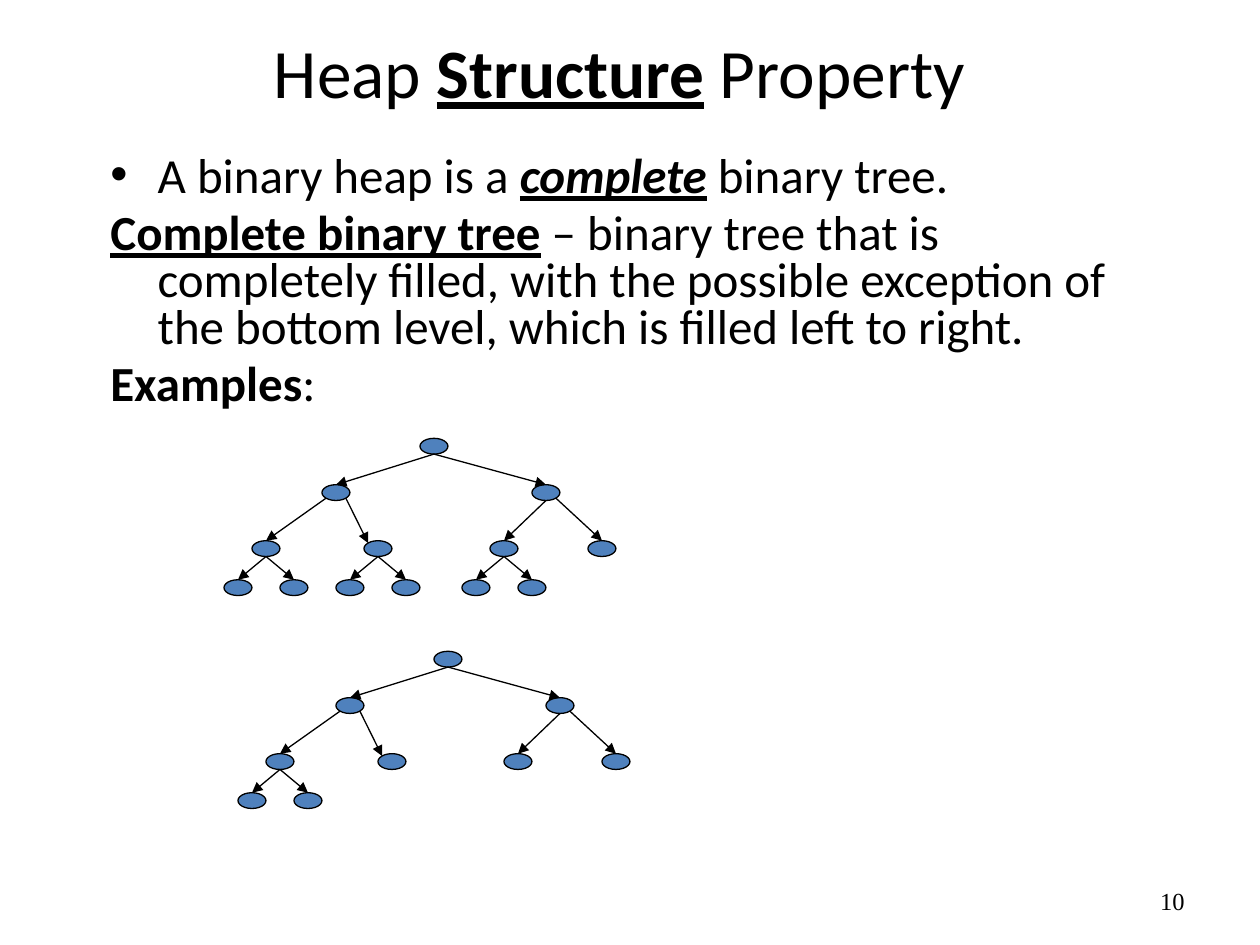
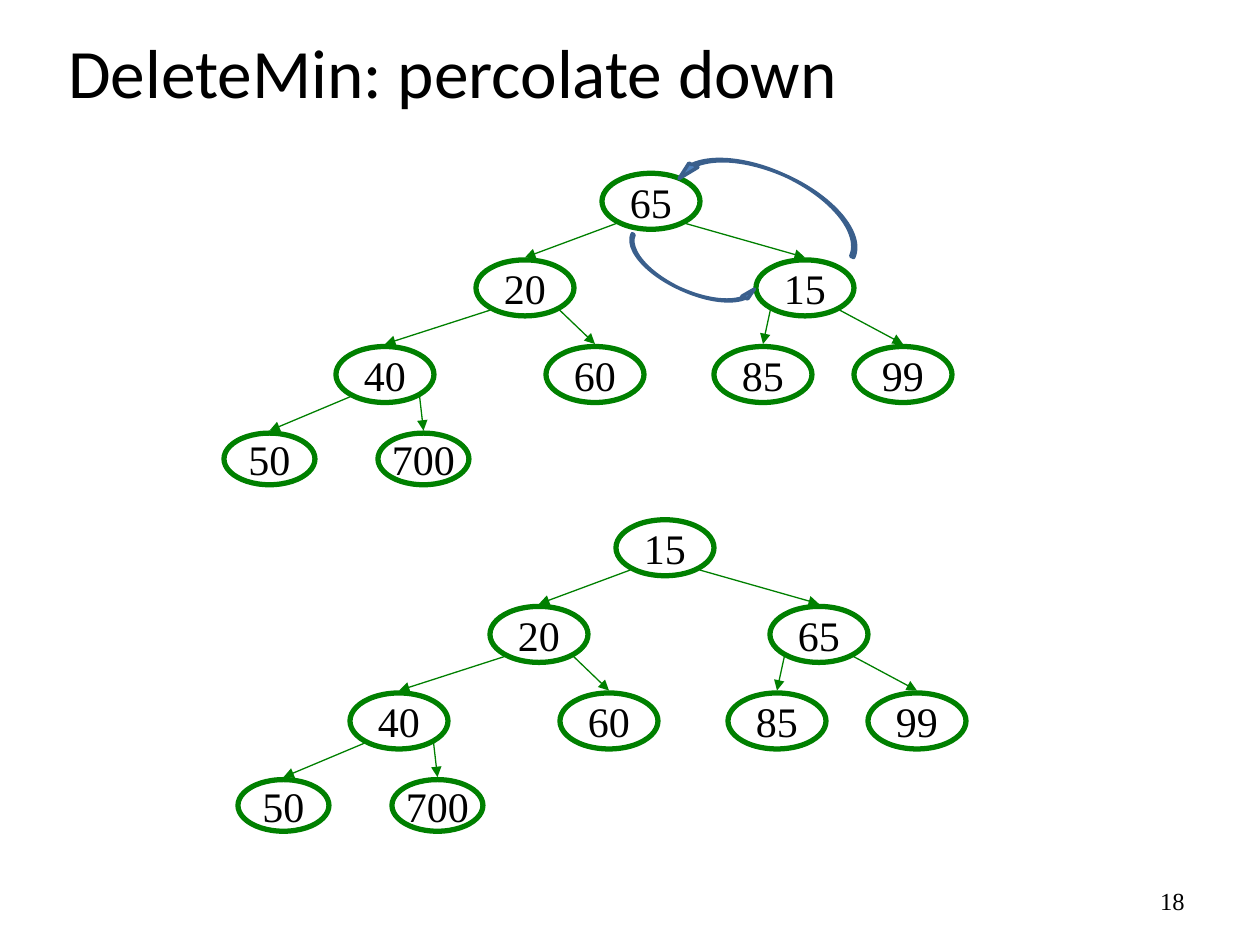
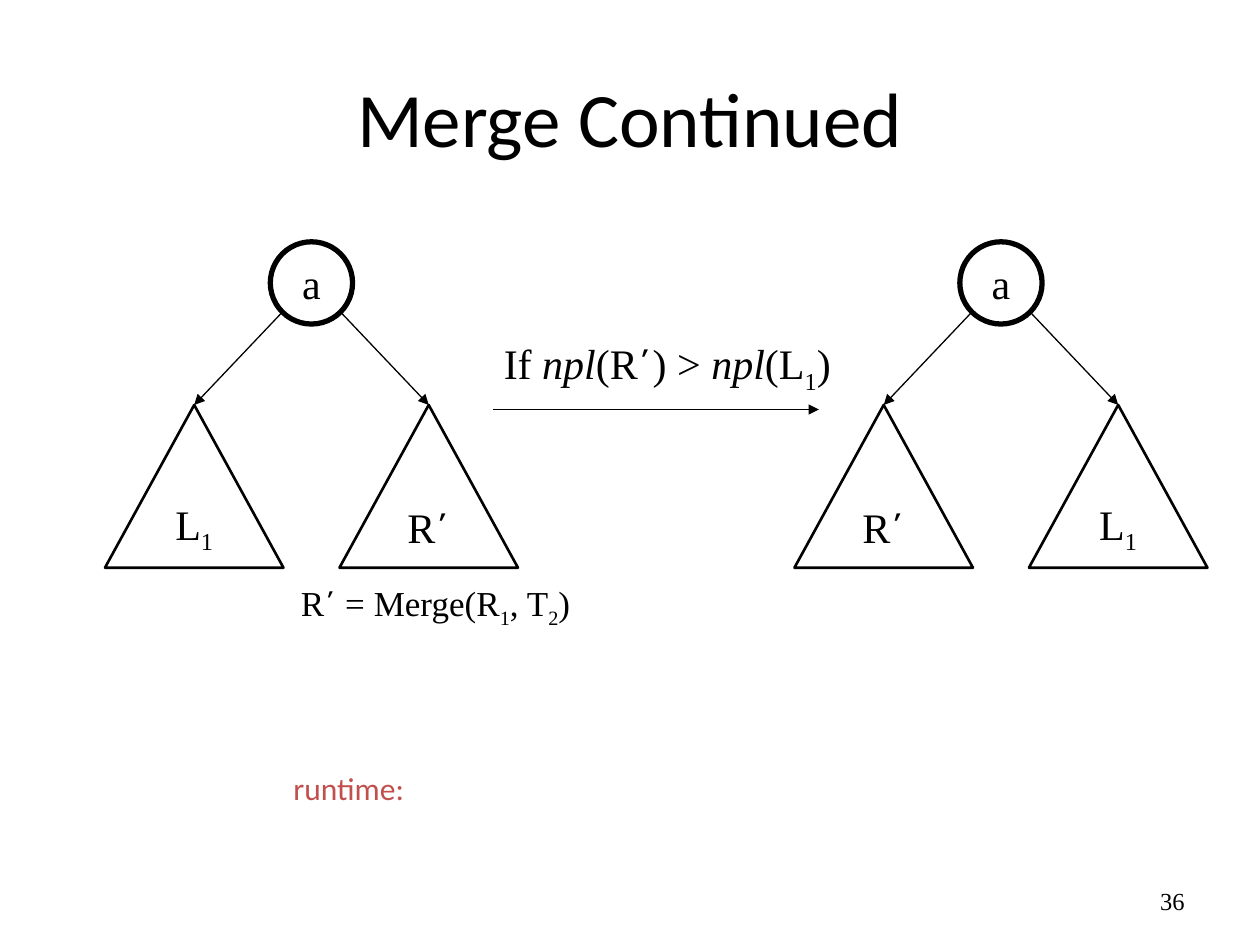
from math import sqrt

from lxml.etree import SubElement
from pptx import Presentation
from pptx.dml.color import RGBColor
from pptx.enum.shapes import MSO_CONNECTOR, MSO_SHAPE
from pptx.enum.text import MSO_ANCHOR, MSO_AUTO_SIZE, PP_ALIGN
from pptx.oxml.ns import qn
from pptx.util import Pt

BLACK, GREEN, BLUE, DARK_BLUE, RED = "000000", "008000", "4F81BD", "3A5F8C", "C0504D"
SANS, SERIF = "Calibri", "Times New Roman"

BOLD = {"bold": True}
ITALIC = {"italic": True}
KEY_TERM = {"bold": True, "underline": True}
PRIME = ("’", {"bold": True, "name": "Courier New", "baseline": 30})
SUBSCRIPT = {"baseline": -25}
LEFT_LABEL = ["L", ("1", SUBSCRIPT)]
MERGED_LABEL = ["R", PRIME]

TOP, BOTTOM = (0, -1), (0, 1)
TOP_LEFT, BOTTOM_LEFT, BOTTOM_RIGHT = (-1, -1), (-1, 1), (1, 1)

SHAPE_TREE_NODES = {
    "root": (248, 0), "l": (192, 1), "r": (312, 1),
    "ll": (152, 2), "lr": (216, 2), "rl": (288, 2), "rr": (344, 2),
    "lll": (136, 3), "llr": (168, 3), "lrl": (200, 3), "lrr": (232, 3),
    "rll": (272, 3), "rlr": (304, 3),
}
SHAPE_TREE_TOPS = [250.5, 277, 309, 331.3]
SHAPE_TREE_SITES = {
    "ll": (BOTTOM_LEFT, TOP), "lr": (BOTTOM_RIGHT, TOP_LEFT), "rr": (BOTTOM_RIGHT, TOP),
}

NUMBER_TREE_NODES = {
    "root": (372, 0), "l": (300, 1), "r": (460, 1),
    "ll": (220, 2), "lr": (340, 2), "rl": (436, 2), "rr": (516, 2),
    "lll": (154, 3), "llr": (242, 3),
}


def color(hex_string):
    return RGBColor.from_string(hex_string)


def write(paragraph, pieces, size, font=SERIF, ink=BLACK):
    for piece in pieces:
        text, style = (piece, {}) if isinstance(piece, str) else piece
        run = paragraph.add_run()
        run.text = text
        run.font.size = Pt(size)
        run.font.name = style.get("name", font)
        run.font.color.rgb = color(ink)
        for name in ("bold", "italic", "underline"):
            if name in style:
                setattr(run.font, name, style[name])
        if "baseline" in style:
            run._r.get_or_add_rPr().set("baseline", str(style["baseline"] * 1000))


def add_text(slide, box, pieces, size, font=SERIF, ink=BLACK, align=PP_ALIGN.LEFT,
             anchor=MSO_ANCHOR.MIDDLE):
    shape = slide.shapes.add_textbox(*map(Pt, box))
    frame = shape.text_frame
    frame.word_wrap = True
    frame.vertical_anchor = anchor
    frame.paragraphs[0].alignment = align
    write(frame.paragraphs[0], pieces, size, font, ink)
    return shape


def add_label(slide, box, pieces, size, font=SERIF, ink=BLACK):
    frame = add_text(slide, box, pieces, size, font, ink, anchor=MSO_ANCHOR.TOP).text_frame
    frame.word_wrap = False
    frame.auto_size = MSO_AUTO_SIZE.SHAPE_TO_FIT_TEXT


def add_slide(presentation, number, title, title_box, align=PP_ALIGN.CENTER, size=39.6):
    slide = presentation.slides.add_slide(presentation.slide_layouts[6])
    add_text(slide, (516, 500.4, 168, 28.8), [number], 14, align=PP_ALIGN.RIGHT)
    add_text(slide, title_box, title, size, SANS, align=align)
    return slide


def add_outlined(shapes, kind, box, line, line_width, fill=None, pieces=()):
    shape = shapes.add_shape(kind, *map(Pt, box))
    shape.shadow.inherit = False
    if fill:
        shape.fill.solid()
        shape.fill.fore_color.rgb = color(fill)
    else:
        shape.fill.background()
    shape.line.color.rgb = color(line)
    shape.line.width = Pt(line_width)
    if pieces:
        frame = shape.text_frame
        frame.word_wrap = False
        frame.vertical_anchor = MSO_ANCHOR.MIDDLE
        frame.paragraphs[0].alignment = PP_ALIGN.CENTER
        write(frame.paragraphs[0], pieces, 24)
    return shape


def add_arrow(shapes, start, end, line=BLACK):
    connector = shapes.add_connector(MSO_CONNECTOR.STRAIGHT, *map(Pt, (*start, *end)))
    connector.line.color.rgb = color(line)
    connector.line.width = Pt(0.75)
    SubElement(connector.line._get_or_add_ln(), qn("a:tailEnd"), type="triangle")
    SubElement(connector._element.spPr, qn("a:effectLst"))
    return connector


def site(shape, direction, gap=0):
    across, down = direction
    reach = 1 / sqrt(2) if across and down else 1
    x = shape.left.pt + shape.width.pt / 2 * (1 + across * reach)
    y = shape.top.pt + shape.height.pt / 2 * (1 + down * reach) + down * gap
    return x, y


def add_edge(shapes, parent, child, start=BOTTOM, end=TOP, line=BLACK, gap=0):
    arrow = add_arrow(shapes, site(parent, start, gap), site(child, end, gap), line)
    if end == TOP and not gap:
        arrow.end_connect(child, 0)


def parent_of(key):
    return key[:-1] or "root"


def add_shape_tree(slide, keys, shift_x=0, shift_y=0):
    nodes = {}
    for key in keys:
        x, level = SHAPE_TREE_NODES[key]
        box = (x - 8 + shift_x, SHAPE_TREE_TOPS[level] + shift_y, 16, 9)
        nodes[key] = add_outlined(slide.shapes, MSO_SHAPE.OVAL, box, BLACK, 0.75, BLUE)
        if key != "root":
            start, end = SHAPE_TREE_SITES.get(key, (BOTTOM, TOP))
            add_edge(slide.shapes, nodes[parent_of(key)], nodes[key], start, end)


def add_number_tree(slide, values, shift_x=0, shift_y=0):
    shapes = slide.shapes.add_group_shape().shapes
    nodes = {}
    for (key, (x, level)), value in zip(NUMBER_TREE_NODES.items(), values):
        width, height = (52, 29.5) if level == 3 else (56, 32)
        box = (x - width / 2 + shift_x, 99 + 49.5 * level + shift_y, width, height)
        nodes[key] = add_outlined(shapes, MSO_SHAPE.OVAL, box, GREEN, 3, pieces=[str(value)])
        if key != "root":
            start = BOTTOM_LEFT if key.endswith("l") else BOTTOM_RIGHT
            add_edge(shapes, nodes[parent_of(key)], nodes[key], start, line=GREEN, gap=1.4)


def add_swap_arrow(slide, box, rotation):
    arrow = add_outlined(slide.shapes, MSO_SHAPE.CURVED_UP_ARROW, box, DARK_BLUE, 2, BLUE)
    arrow.rotation = rotation
    for index, value in enumerate((0.069, 0.213, 0.391)):
        arrow.adjustments[index] = value


def add_merge_tree(slide, center, labels):
    root = add_outlined(slide.shapes, MSO_SHAPE.OVAL, (center - 23.5, 138.2, 47, 47),
                        BLACK, 3, pieces=["a"])
    for side, label in zip((-1, 1), labels):
        box = (center + side * 67 - 51, 231.4, 102, 93)
        subtree = add_outlined(slide.shapes, MSO_SHAPE.ISOSCELES_TRIANGLE, box,
                               BLACK, 1.5, pieces=label)
        add_edge(slide.shapes, root, subtree, (side, 1))


def add_definition(slide):
    paragraphs = [
        ["A binary heap is a ", ("complete", KEY_TERM | ITALIC), " binary tree."],
        [("Complete binary tree", KEY_TERM),
         " – binary tree that is completely filled, with the possible exception of "
         "the bottom level, which is filled left to right."],
        [("Examples", BOLD), ":"],
    ]
    frame = slide.shapes.add_textbox(Pt(56), Pt(85.7), Pt(612), Pt(160.5)).text_frame
    frame.word_wrap = True
    for index, pieces in enumerate(paragraphs):
        paragraph = frame.add_paragraph() if index else frame.paragraphs[0]
        paragraph.line_spacing = 0.8
        paragraph.space_before = Pt(5.6 if index else 0)
        properties = paragraph._p.get_or_add_pPr()
        properties.set("marL", str(Pt(27)))
        properties.set("indent", str(-Pt(27)))
        if index == 0:
            SubElement(properties, qn("a:buFont"), typeface="Arial")
            SubElement(properties, qn("a:buChar"), char="•")
        write(paragraph, pieces, 28, SANS)


def build_structure_slide(presentation):
    title = ["Heap ", ("Structure", KEY_TERM), " Property"]
    slide = add_slide(presentation, "10", title, (48, 13.5, 612, 54))
    add_definition(slide)
    add_shape_tree(slide, SHAPE_TREE_NODES)
    add_shape_tree(slide, list(SHAPE_TREE_NODES)[:9], 8, 121.7)


def build_percolate_slide(presentation):
    slide = add_slide(presentation, "18", ["DeleteMin: percolate down"],
                      (32, 13.5, 664, 54), PP_ALIGN.LEFT)
    add_number_tree(slide, [15, 20, 65, 40, 60, 85, 99, 50, 700], 8, 198)
    add_number_tree(slide, [65, 20, 15, 40, 60, 85, 99, 50, 700])
    add_swap_arrow(slide, (385.9, 98.6, 112.3, 26.6), 204.3)
    add_swap_arrow(slide, (354.2, 149, 78.5, 17.3), 24.3)


def build_merge_slide(presentation):
    slide = add_slide(presentation, "36", ["Merge Continued"], (36, 21.6, 648, 90), size=44)
    add_merge_tree(slide, 178, [LEFT_LABEL, MERGED_LABEL])
    add_merge_tree(slide, 572, [MERGED_LABEL, LEFT_LABEL])
    add_arrow(slide.shapes, (282, 234), (468, 234))
    add_label(slide, (164.9, 329, 170.6, 31),
              ["R", PRIME, " = Merge(R", ("1", SUBSCRIPT), ", T", ("2", SUBSCRIPT), ")"], 20)
    add_label(slide, (280.8, 189.4, 203.8, 36),
              ["If", (" npl", ITALIC), "(R", PRIME, ") > ", ("npl", ITALIC), "(L",
               ("1", SUBSCRIPT), ")"], 24)
    add_label(slide, (160.6, 435.6, 102.2, 36.7), ["runtime:"], 18, SANS, RED)


def main():
    presentation = Presentation()
    presentation.slide_width = Pt(720)
    presentation.slide_height = Pt(540)
    build_structure_slide(presentation)
    build_percolate_slide(presentation)
    build_merge_slide(presentation)
    presentation.save("out.pptx")


if __name__ == "__main__":
    main()
